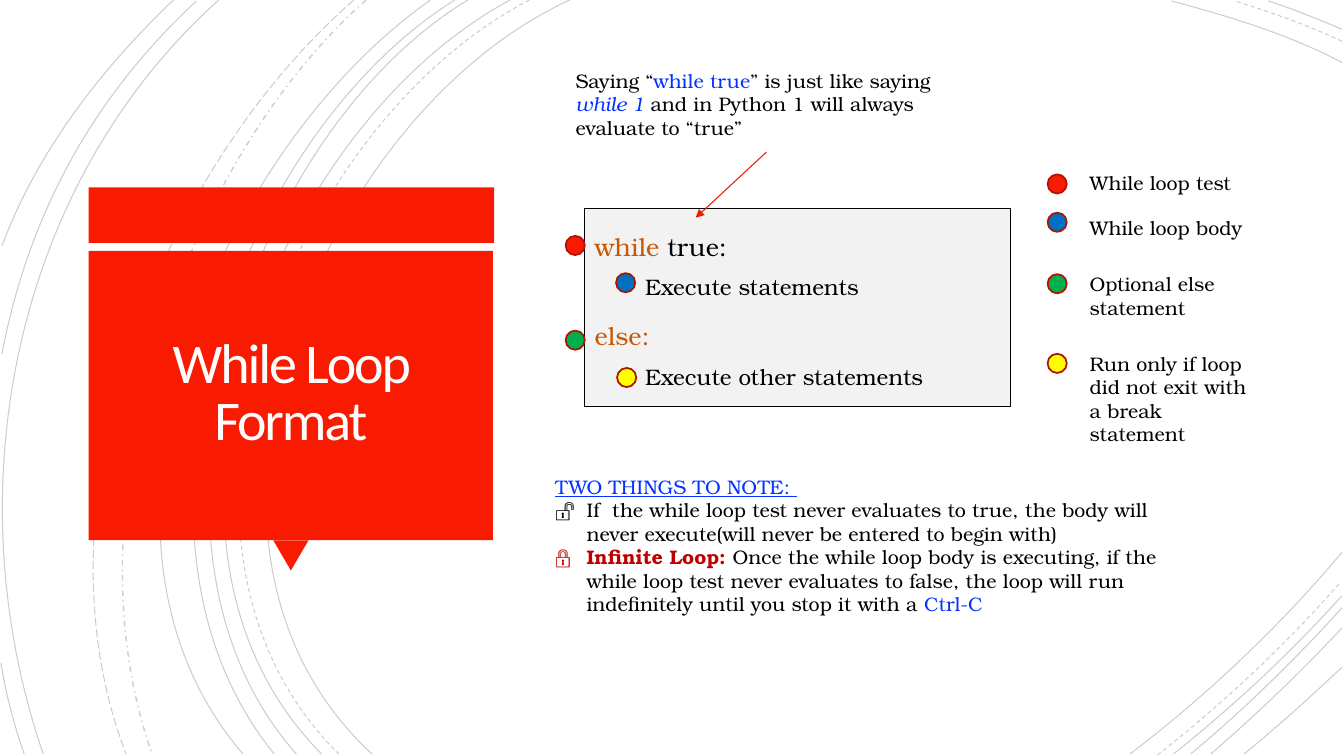
"""Build the While Loop Format slide with its code panel, legend and notes."""
from lxml.etree import SubElement
from pptx import Presentation
from pptx.dml.color import RGBColor
from pptx.enum.dml import MSO_LINE as DASH
from pptx.enum.shapes import MSO_CONNECTOR, MSO_SHAPE as SHAPE
from pptx.enum.text import MSO_ANCHOR as ANCHOR, MSO_AUTO_SIZE as AUTO_SIZE, PP_ALIGN as ALIGN
from pptx.oxml.ns import qn
from pptx.util import Inches, Pt

COLORS = {
    "red": "F81B02", "dark red": "AF1301", "arrow": "ED1A02", "crimson": "C00000",
    "blue": "0070C0", "green": "00B050", "yellow": "FFFF00", "panel": "F2F2F2",
    "keyword": "CA5703", "link": "0432FF", "black": "000000", "title": "FFFEFF",
}
BODY_FONT = "TeX Gyre Bonum"


def add_block(kind, left, top, width, height, fill, line=None, weight=0.75):
    """Add a flat preset shape, outlined only when a line colour is given."""
    shape = slide.shapes.add_shape(kind, Inches(left), Inches(top), Inches(width), Inches(height))
    shape.shadow.inherit = False
    shape.fill.solid()
    shape.fill.fore_color.rgb = RGBColor.from_string(COLORS[fill])
    if line:
        shape.line.color.rgb = RGBColor.from_string(COLORS[line])
        shape.line.width = Pt(weight)
    else:
        shape.line.fill.background()
    return shape


def write_text(frame, runs, size=14, font=BODY_FONT, first=True, align=ALIGN.LEFT,
               line_spacing=None, before=None, left=0, hanging=0, bullet=None, tracking=None):
    """Write one paragraph of (text, colour, styles) runs into a text frame."""
    frame.word_wrap = True
    paragraph = frame.paragraphs[0] if first else frame.add_paragraph()
    paragraph.alignment = align
    if line_spacing:
        paragraph.line_spacing = line_spacing
    if before:
        paragraph.space_before = Pt(before)
    properties = paragraph._p.get_or_add_pPr()
    properties.set("marL", str(Inches(left)))
    properties.set("indent", str(Inches(-hanging)))
    if bullet:
        SubElement(properties, qn("a:buFont"), typeface=font)
        SubElement(properties, qn("a:buChar"), char=bullet)
    for text, color, *styles in runs:
        run = paragraph.add_run()
        run.text = text
        run.font.name, run.font.size = font, Pt(size)
        run.font.color.rgb = RGBColor.from_string(COLORS[color])
        for style in styles:
            setattr(run.font, style, True)
        if tracking:
            run._r.get_or_add_rPr().set("spc", str(tracking))


presentation = Presentation()
presentation.slide_width, presentation.slide_height = Inches(13.33), Inches(7.5)
slide = presentation.slides.add_slide(presentation.slide_layouts[6])

arcs = [
    (DASH.SOLID, (5.65, 0), (3.15, 1.15), (1.43, 5.4), (3.69, 7.48)),
    (DASH.SOLID, (13.31, 0.62), (12.78, 0.34), (12.18, 0.16), (11.62, 0.01)),
    (DASH.SOLID, (11.21, 7.48), (11.97, 6.9), (12.69, 6.22), (13.31, 5.48)),
    (DASH.DASH, (5.25, 0), (2.85, 1.25), (1.23, 5.37), (3.36, 7.48)),
    (DASH.DASH, (13.31, 0.41), (12.97, 0.25), (12.6, 0.12), (12.25, 0.01)),
    (DASH.DASH, (11.48, 7.49), (12.13, 6.98), (12.75, 6.4), (13.3, 5.77)),
    (DASH.SOLID, (5.06, 0), (2.7, 1.27), (1.1, 5.37), (3.19, 7.48)),
    (DASH.SOLID, (13.31, 0.29), (13.07, 0.19), (12.83, 0.09), (12.58, 0.01)),
    (DASH.SOLID, (11.64, 7.48), (12.23, 7.01), (12.8, 6.48), (13.31, 5.91)),
    (DASH.SOLID, (4.64, 0), (2.44, 1.33), (1.1, 5.41), (2.94, 7.48)),
    (DASH.SOLID, (11.81, 7.48), (12.34, 7.04), (12.84, 6.55), (13.31, 6.03)),
    (DASH.SOLID, (4.51, 0), (2.31, 1.38), (0.97, 5.33), (2.72, 7.48)),
    (DASH.SOLID, (12.01, 7.48), (12.46, 7.09), (12.9, 6.67), (13.31, 6.23)),
    (DASH.SOLID, (4.27, 0), (2.17, 1.47), (0.53, 5.29), (2.41, 7.48)),
    (DASH.SOLID, (12.34, 7.48), (12.67, 7.21), (12.99, 6.92), (13.31, 6.62)),
    (DASH.DASH_DOT, (3.63, 0), (1.76, 1.66), (0.65, 5.09), (1.51, 7.48)),
    (DASH.LONG_DASH, (3.51, 0), (1.57, 1.69), (0.29, 4.99), (1.25, 7.48)),
    (DASH.SOLID, (2.17, 0), (0.11, 1.85), (-0.46, 4.9), (0.43, 7.48)),
    (DASH.SOLID, (1.95, 0.01), (0.92, 0.96), (0.28, 2.14), (0.02, 3.51)),
    (DASH.SOLID, (0.01, 6.58), (0.06, 6.89), (0.14, 7.19), (0.24, 7.48)),
    (DASH.SOLID, (1.72, 0), (1, 0.69), (0.37, 1.5), (0.02, 2.44)),
]
for dash, *controls in arcs:
    start, *others = [(Inches(x), Inches(y)) for x, y in controls]
    builder = slide.shapes.build_freeform(*start)
    builder.add_line_segments(others, close=False)
    arc = builder.convert_to_shape()
    outline = arc._element.spPr.find(".//" + qn("a:path"))
    segments = outline.findall(qn("a:lnTo"))
    curve = SubElement(outline, qn("a:cubicBezTo"))
    for segment in segments:
        curve.append(segment[0])
        outline.remove(segment)
    arc.shadow.inherit = False
    arc.fill.background()
    arc.line.color.rgb = RGBColor.from_string(COLORS["black"])
    arc.line.width = Pt(1 if dash == DASH.DASH_DOT else 0.75)
    arc.line.dash_style = dash
    line_color = arc._element.spPr.find(qn("a:ln")).find(".//" + qn("a:srgbClr"))
    SubElement(line_color, qn("a:alpha"), val="20000")

add_block(SHAPE.RECTANGLE, 0.88, 1.86, 4.02, 0.55, "red")
add_block(SHAPE.ISOSCELES_TRIANGLE, 2.71, 5.36, 0.35, 0.3, "red").rotation = 180
add_block(SHAPE.RECTANGLE, 0.88, 2.49, 4.01, 2.87, "red")

title = slide.shapes.add_textbox(Inches(0.97), Inches(2.57), Inches(3.83), Inches(2.69)).text_frame
title.vertical_anchor = ANCHOR.MIDDLE
title.margin_left = title.margin_right = title.margin_top = title.margin_bottom = Inches(0.25)
write_text(title, [("While Loop Format", "title")], size=40, font="Calibri",
           align=ALIGN.CENTER, line_spacing=0.85, tracking=-150)

code = add_block(SHAPE.RECTANGLE, 5.8, 2.07, 4.22, 1.96, "panel", "black").text_frame
code.vertical_anchor = ANCHOR.MIDDLE
code_lines = [
    (False, [("while", "keyword"), (" true:", "black")]),
    (True, [("Execute statements", "black")]),
    (False, [("else:", "keyword")]),
    (True, [("Execute other statements", "black")]),
]
for index, (nested, runs) in enumerate(code_lines):
    write_text(code, runs, size=16 if nested else 18, first=index == 0, line_spacing=1.2,
               before=5 if nested else 10, left=0.5 if nested else 0)

legend = [
    ("red", 1.73, (5.61, 2.34), 1.65, 0.34, "While loop test"),
    ("blue", 2.11, (6.11, 2.71), 2.09, 0.34, "While loop body"),
    ("green", 2.72, (5.61, 3.28), 2.65, 0.57, "Optional else statement"),
    ("yellow", 3.51, (6.12, 3.65), 3.44, 0.81,
     "Run only if loop did not exit with a break statement"),
]
text_boxes = [(10.71, top, 1.86, height, [dict(runs=[(label, "black")])])
              for _, _, _, top, height, label in legend]
for color, key_top, marker, *_ in legend:
    for left, top in ((10.39, key_top), marker):
        add_block(SHAPE.OVAL, left, top, 0.19, 0.19, color, "dark red", 1.25)

text_boxes.append((5.41, 4.66, 6.25, 1.51, [
    dict(runs=[("TWO THINGS TO NOTE: ", "link", "underline")]),
    dict(runs=[("If  the while loop test never evaluates to true, the body will never "
                "execute(will never be entered to begin with)", "black")],
         left=0.31, hanging=0.31, bullet="🔓"),
    dict(runs=[("Infinite Loop: ", "crimson", "bold"),
               ("Once the while loop body is executing, if the while loop test never evaluates "
                "to false, the loop will run indefinitely until you stop it with a ", "black"),
               ("Ctrl-C", "link")],
         left=0.31, hanging=0.31, bullet="🔒"),
]))
text_boxes.append((5.61, 0.63, 3.9, 0.81, [
    dict(runs=[("Saying “", "black"), ("while true", "link"),
               ("” is just like saying ", "black"), ("while 1 ", "link", "italic"),
               ("and in Python 1 will always evaluate to “true”", "black")]),
]))
for left, top, width, height, paragraphs in text_boxes:
    box = slide.shapes.add_textbox(Inches(left), Inches(top), Inches(width), Inches(height))
    box.text_frame.auto_size = AUTO_SIZE.SHAPE_TO_FIT_TEXT
    for index, paragraph in enumerate(paragraphs):
        write_text(box.text_frame, first=index == 0, **paragraph)

arrow = slide.shapes.add_connector(MSO_CONNECTOR.STRAIGHT, Inches(7.6), Inches(1.51),
                                   Inches(6.9), Inches(2.16))
arrow.line.color.rgb = RGBColor.from_string(COLORS["arrow"])
arrow.line.width = Pt(0.75)
SubElement(arrow.line._get_or_add_ln(), qn("a:tailEnd"), type="triangle")
SubElement(arrow._element.spPr, qn("a:effectLst"))

presentation.save("out.pptx")
